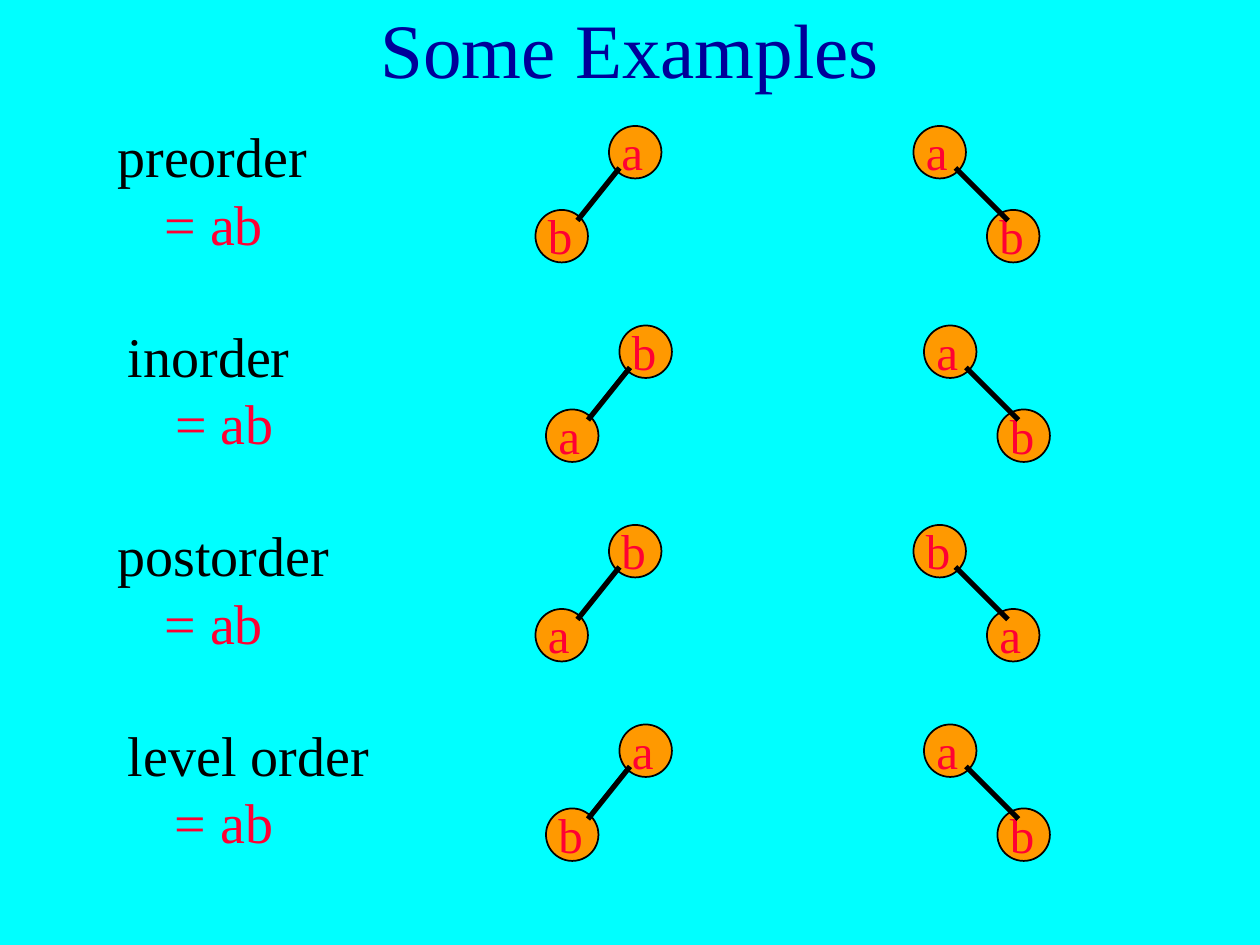
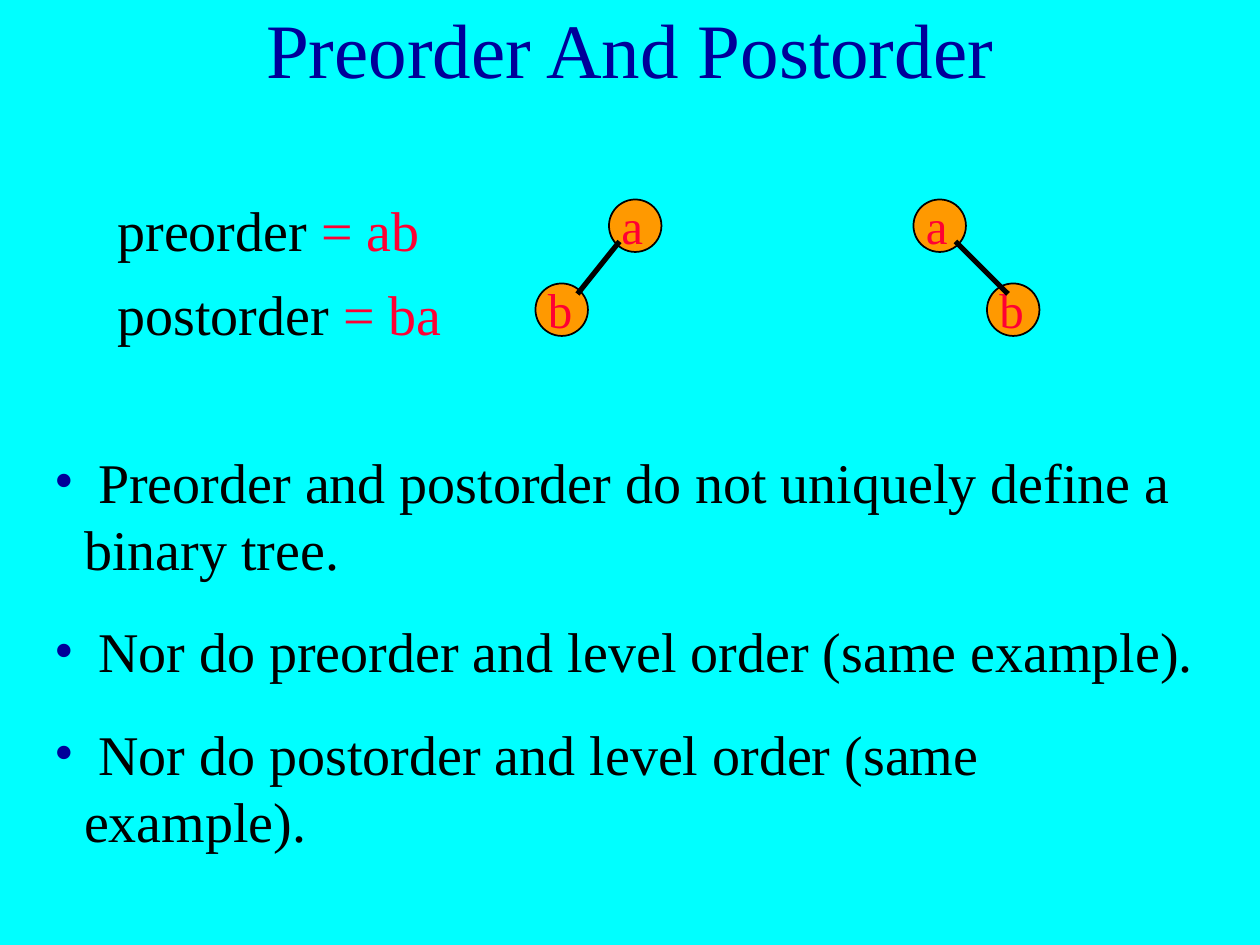
"""Build two slides on which traversal orders do and do not define a binary tree."""
from lxml.etree import SubElement
from pptx import Presentation
from pptx.dml.color import RGBColor
from pptx.enum.shapes import MSO_CONNECTOR, MSO_SHAPE
from pptx.enum.text import MSO_ANCHOR, MSO_AUTO_SIZE, PP_ALIGN
from pptx.oxml.ns import qn
from pptx.util import Cm, Pt

EXAMPLES = [
    ("preorder ", "= ab", 22, "ab", "ab"),
    ("inorder ", "= ab", 22, "ba", "ab"),
    ("postorder ", "= ab", 24, "ba", "ba"),
    ("level order ", "= ab", 29, "ab", "ab"),
]
ORDERS = [("preorder ", "= ab", 35), ("postorder ", "= ba", 36)]
CONCLUSIONS = [
    " Preorder and postorder do not uniquely define a binary tree.",
    " Nor do preorder and level order (same example).",
    " Nor do postorder and level order (same example).",
]

COLORS = {"background": "00FFFF", "title": "000099", "text": "000000",
          "accent": "FF0033", "node": "FF9900"}
FONT = "Times New Roman"
FRAME = {"word_wrap": True, "auto_size": MSO_AUTO_SIZE.NONE,
         "margin_left": Cm(0.25), "margin_right": Cm(0.25),
         "margin_top": Cm(0.13), "margin_bottom": Cm(0.13)}

NODE = 5
LEFT_ROOT, RIGHT_ROOT = 58, 87
LEFT_TREE = {"child": (-7, 8), "start": (1, 4), "end": (-3, 9)}
RIGHT_TREE = {"child": (7, 8), "start": (4, 4), "end": (9, 9)}


def grid(*cells):
    """Turn grid units of a twelfth of an inch into lengths."""
    return [Cm(c * 2.54 / 12) for c in cells]


def color(name):
    """Look up a named colour."""
    return RGBColor.from_string(COLORS[name])


def add_run(p, text, size, name):
    """Add a run in the deck's font."""
    r = p.add_run()
    r.text = text
    for key, value in {"name": FONT, "size": Pt(size)}.items():
        setattr(r.font, key, value)
    r.font.color.rgb = color(name)


def add_frame(shapes, box, **changes):
    """Add a text box at a grid position and return its text frame."""
    tf = shapes.add_textbox(*grid(*box)).text_frame
    for key, value in {**FRAME, **changes}.items():
        setattr(tf, key, value)
    return tf


def indent(p, length):
    """Give a paragraph a hanging indent."""
    pPr = p._p.get_or_add_pPr()
    pPr.set("marL", str(length))
    pPr.set("indent", str(-length))
    return pPr


def add_slide(prs, title):
    """Add a slide with the shared background and title."""
    s = prs.slides.add_slide(prs.slide_layouts[6])
    s.background.fill.solid()
    s.background.fill.fore_color.rgb = color("background")
    p = add_frame(s.shapes, (9, 0, 102, 9), vertical_anchor=MSO_ANCHOR.MIDDLE).paragraphs[0]
    p.alignment = PP_ALIGN.CENTER
    add_run(p, title, 44, "title")
    return s


def add_label(s, name, order, box):
    """Add a traversal name followed by its node order."""
    p = add_frame(s.shapes, box).paragraphs[0]
    indent(p, Cm(0.95))
    add_run(p, name, 32, "text")
    add_run(p, order, 32, "accent")


def add_tree(s, x, y, letters, tree):
    """Add a root, one child and the edge between them as a group."""
    shapes = s.shapes.add_group_shape().shapes
    dx, dy = tree["child"]
    places = [(x, y), (x + dx, y + dy)]
    for left, top in reversed(places):
        sp = shapes.add_shape(MSO_SHAPE.OVAL, *grid(left, top, NODE, NODE))
        sp.shadow.inherit = False
        sp.fill.solid()
        sp.fill.fore_color.rgb = color("node")
        sp.line.color.rgb = color("text")
        sp.line.width = Pt(1)
    for letter, (left, top) in zip(letters, places):
        tf = add_frame(shapes, (left, top - 1, 10, 6.8), auto_size=MSO_AUTO_SIZE.SHAPE_TO_FIT_TEXT)
        add_run(tf.paragraphs[0], letter, 28, "accent")
    ends = [c + d for key in ("start", "end") for c, d in zip((x, y), tree[key])]
    edge = shapes.add_connector(MSO_CONNECTOR.STRAIGHT, *grid(*ends))
    edge.line.color.rgb = color("text")
    edge.line.width = Pt(3)
    SubElement(edge._element.spPr, qn("a:effectLst"))


def add_bullets(s, items, box):
    """Add a bulleted list."""
    tf = add_frame(s.shapes, box, auto_size=MSO_AUTO_SIZE.SHAPE_TO_FIT_TEXT)
    for i, item in enumerate(items):
        p = tf.add_paragraph() if i else tf.paragraphs[0]
        p.space_before = Pt(20)
        pPr = indent(p, Cm(0.6))
        SubElement(SubElement(pPr, qn("a:buClr")), qn("a:srgbClr"), val=COLORS["title"])
        SubElement(pPr, qn("a:buFont"), typeface=FONT)
        SubElement(pPr, qn("a:buChar"), char="•")
        add_run(p, item, 32, "text")


def main():
    """Build and save the deck."""
    prs = Presentation()
    prs.slide_width, prs.slide_height = Cm(25.4), Cm(19.05)

    s = add_slide(prs, "Some Examples")
    for i, (name, order, width, left, right) in enumerate(EXAMPLES):
        shift, top = i % 2, 11 + 19 * i
        add_label(s, name, order, (10 + shift, top, width, 16))
        add_tree(s, LEFT_ROOT + shift, top + 1, left, LEFT_TREE)
        add_tree(s, RIGHT_ROOT + shift, top + 1, right, RIGHT_TREE)

    s = add_slide(prs, "Preorder And Postorder")
    for i, (name, order, width) in enumerate(ORDERS):
        add_label(s, name, order, (10, 18 + 8 * i, width, 8))
    add_tree(s, LEFT_ROOT, 19, "ab", LEFT_TREE)
    add_tree(s, RIGHT_ROOT, 19, "ab", RIGHT_TREE)
    add_bullets(s, CONCLUSIONS, (4, 42, 112, 40))

    prs.save("out.pptx")


if __name__ == "__main__":
    main()
